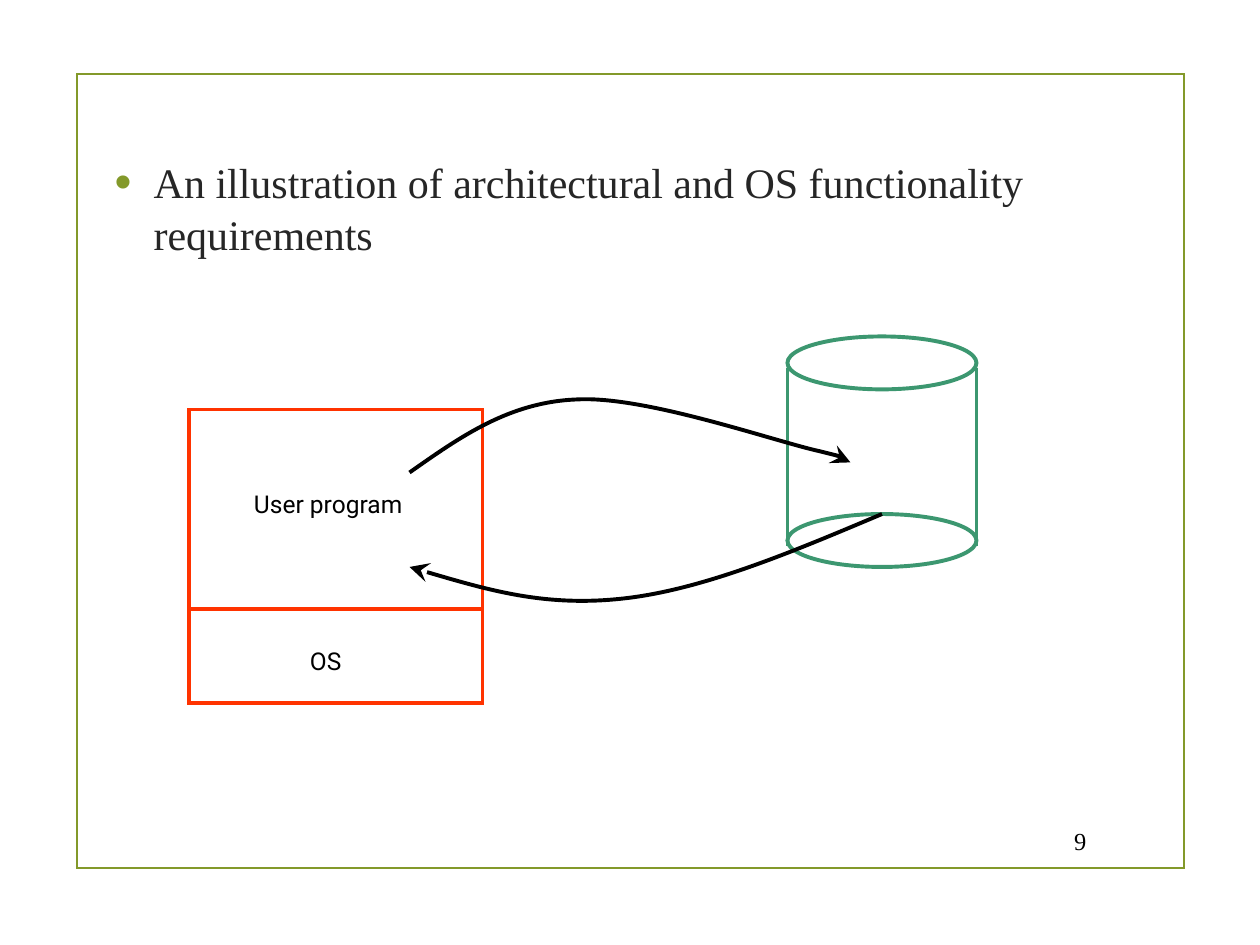
import pptx
import pptx.util
import pptx.dml.color
import pptx.enum.shapes
import pptx.enum.text
import pptx.oxml
import pptx.oxml.ns
from lxml import etree

Inches, Pt = pptx.util.Inches, pptx.util.Pt
qn = pptx.oxml.ns.qn
Kind = pptx.enum.shapes.MSO_SHAPE
Align = pptx.enum.text.PP_ALIGN
Size = pptx.enum.text.MSO_AUTO_SIZE
Anchor = pptx.enum.text.MSO_ANCHOR


def paint(item, color, width=None):
    """Colour a font, or the outline of a shape."""
    rgb = pptx.dml.color.RGBColor.from_string(color)
    if width is None:
        item.color.rgb = rgb
    else:
        item.line.color.rgb = rgb
        item.line.width = Pt(width)


def write(shape, text, face, size, color, align):
    """Put one formatted paragraph into a shape."""
    para = shape.text_frame.paragraphs[0]
    para.alignment = align
    run = para.add_run()
    run.text = text
    for name, value in {"name": face, "size": Pt(size)}.items():
        setattr(run.font, name, value)
    paint(run.font, color)
    return para


deck = pptx.Presentation()
deck.slide_width, deck.slide_height = Inches(10), Inches(7.5)
slide = deck.slides.add_slide(deck.slide_layouts[1])
shapes = slide.shapes
title = shapes.title.element
title.getparent().remove(title)

# Bulleted statement
body = slide.placeholders[1]
place = {"left": 0.81, "top": 1.18, "width": 8.5, "height": 4.5}
for name, value in place.items():
    setattr(body, name, Inches(value))
body.text_frame.auto_size = Size.NONE
para = write(body, "An illustration of architectural and OS functionality requirements",
             "Times New Roman", 24, "262626", Align.LEFT)
para.line_spacing = 1.03
para.space_after = Pt(6)
props = para._p.get_or_add_pPr()
props.set("marL", str(Inches(0.31)))
props.set("indent", str(-Inches(0.31)))
tint = etree.SubElement(props, qn("a:buClr"))
etree.SubElement(tint, qn("a:srgbClr"), val="83992A")
etree.SubElement(props, qn("a:buSzPct"), val="115000")
etree.SubElement(props, qn("a:buFont"), typeface="Arial")
etree.SubElement(props, qn("a:buChar"), char="•")

# Page frame, program and OS boxes, ends of the disk
outlines = [
    (Kind.RECTANGLE, 0.61, 0.59, 8.79, 6.3, "83992A", 1.25),
    (Kind.RECTANGLE, 1.5, 3.25, 2.33, 1.58, "FF3300", 2.25),
    (Kind.RECTANGLE, 1.5, 4.83, 2.33, 0.75, "FF3300", 2.25),
    (Kind.OVAL, 6.25, 2.67, 1.5, 0.42, "3C9770", 2.25),
    (Kind.OVAL, 6.25, 4.08, 1.5, 0.42, "3C9770", 2.25),
]
for kind, *box, color, width in outlines:
    shape = shapes.add_shape(kind, *map(Inches, box))
    shape.shadow.inherit = False
    shape.fill.background()
    paint(shape, color, width)
    etree.SubElement(shape.line._get_or_add_ln(), qn("a:miter"), lim="800000")

# Sides of the disk
for x in (6.25, 7.75):
    side = shapes.add_connector(pptx.enum.shapes.MSO_CONNECTOR.STRAIGHT,
                                Inches(x), Inches(2.92), Inches(x), Inches(4.33))
    paint(side, "3C9770", 2.25)
    etree.SubElement(side.element.spPr, qn("a:effectLst"))

# Labels and page number
labels = [
    ("OS", 2.17, 5.08, 0.83, 0.33, "Roboto", Align.CENTER, Anchor.TOP),
    ("User program", 1.91, 3.83, 1.39, 0.33, "Roboto", Align.CENTER, Anchor.TOP),
    ("9", 8.29, 6.52, 0.43, 0.31, "Times New Roman", Align.RIGHT, Anchor.MIDDLE),
]
for text, *box, face, align, anchor in labels:
    label = shapes.add_textbox(*map(Inches, box))
    look = {"word_wrap": text != "User program", "vertical_anchor": anchor}
    for name, value in look.items():
        setattr(label.text_frame, name, value)
    write(label, text, face, 14, "000000", align)

# Curved arrows: a start, then three Bezier points per curve
curves = [
    [(3.25, 3.75), (3.65, 3.47), (4.04, 3.19), (4.58, 3.17), (5.12, 3.14),
     (6.14, 3.5), (6.5, 3.58), (6.86, 3.67), (6.71, 3.65), (6.75, 3.67)],
    [(7, 4.08), (6.29, 4.38), (5.58, 4.68), (4.95, 4.75), (4.33, 4.82),
     (3.79, 4.66), (3.25, 4.5)],
]
for curve in curves:
    # Whole EMU points, since the builder rounds coordinates
    start, *rest = [(Inches(x), Inches(y)) for x, y in curve]
    pen = shapes.build_freeform(*start)
    pen.add_line_segments(rest, close=False)
    arrow = pen.convert_to_shape()
    arrow.shadow.inherit = False
    arrow.fill.background()
    paint(arrow, "000000", 2.25)
    etree.SubElement(arrow.line._get_or_add_ln(), qn("a:tailEnd"),
                     type="stealth", w="lg", len="lg")
    # Merge each three straight steps into one cubic curve
    steps = list(arrow.element.iter(qn("a:lnTo")))
    for i in range(0, len(steps), 3):
        bend = etree.SubElement(steps[i].getparent(), qn("a:cubicBezTo"))
        for step in steps[i:i + 3]:
            bend.append(step[0])
            step.getparent().remove(step)

deck.save("out.pptx")
